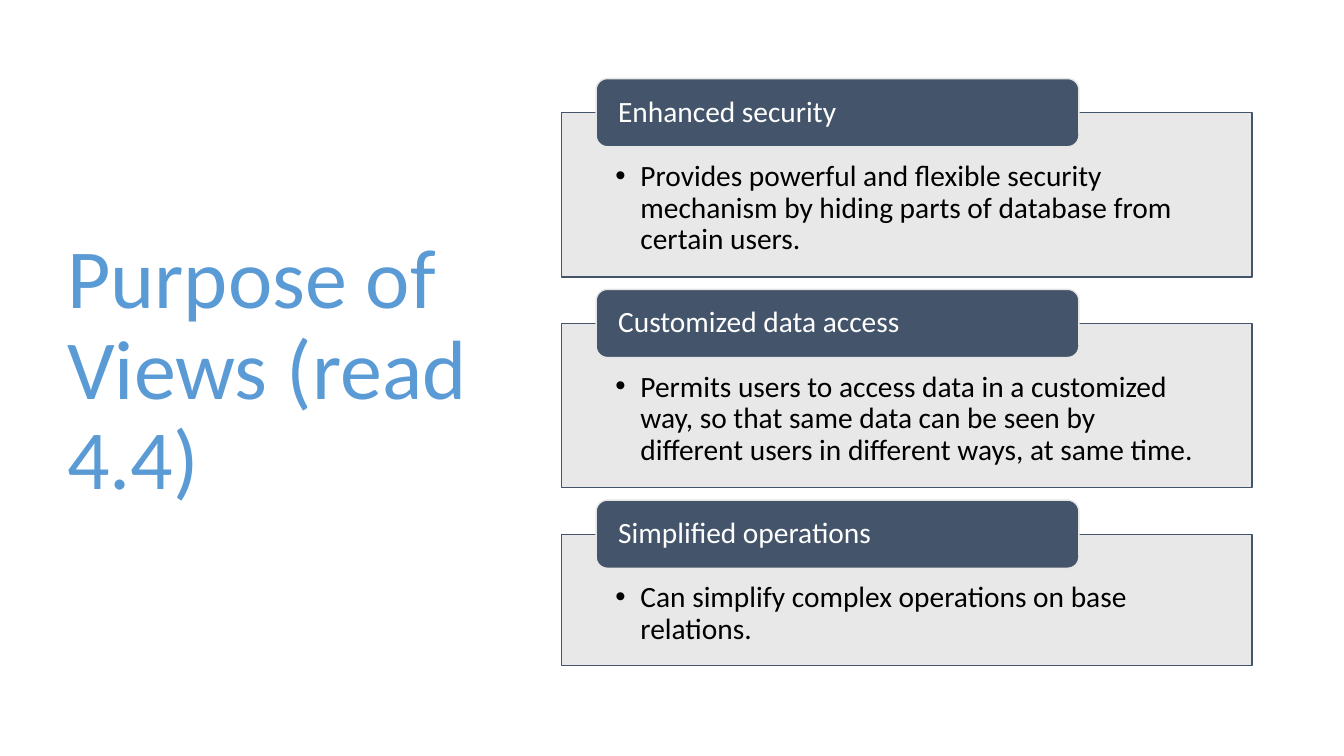
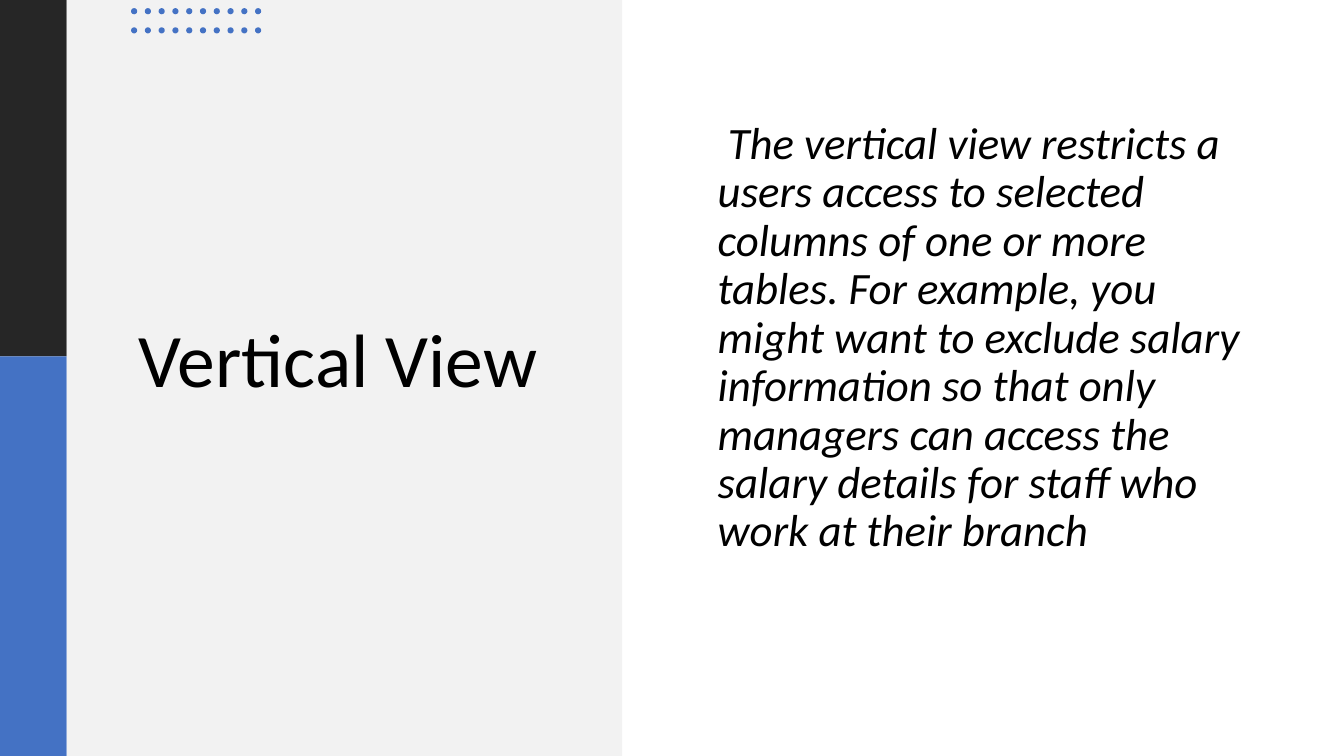
from lxml import etree
from pptx import Presentation
from pptx.dml.color import RGBColor
from pptx.enum.shapes import MSO_SHAPE
from pptx.enum.text import MSO_ANCHOR, PP_ALIGN
from pptx.oxml.ns import qn
from pptx.util import Pt

RECTANGLE = MSO_SHAPE.RECTANGLE
ROUNDED = MSO_SHAPE.ROUNDED_RECTANGLE
OVAL = MSO_SHAPE.OVAL
MIDDLE = MSO_ANCHOR.MIDDLE
TOP = MSO_ANCHOR.TOP
LEFT = PP_ALIGN.LEFT

# Shared style
FONT = "Calibri"
LINE_SPACING = 0.9
DEFAULT_INSETS = (7.2, 3.6, 7.2, 3.6)
BLACK, WHITE = "000000", "FFFFFF"
SLATE, LIGHT_GRAY, PALE_GRAY, CHARCOAL = "44546A", "E7E6E6", "F2F2F2", "262626"
BLUE, SKY = "4472C4", "5B9BD5"

# Stacked cards: header, body text, body height
CARDS = [
    ("Enhanced security",
     "Provides powerful and flexible security mechanism by hiding parts of "
     "database from certain users.", 117.4),
    ("Customized data access",
     "Permits users to access data in a customized way, so that same data can "
     "be seen by different users in different ways, at same time.", 117.4),
    ("Simplified operations",
     "Can simplify complex operations on base relations.", 93.6),
]
CARD_LEFT, CARD_TOP, CARD_WIDTH, CARD_PITCH = 401.2, 80.5, 493.2, 150.55
HEADER_INDENT, HEADER_WIDTH, HEADER_HEIGHT = 24.6, 344.9, 48.7

VERTICAL_VIEW = (
    "\u00a0The vertical view restricts a users access to selected columns of "
    "one or more tables. For example, you might want to exclude salary "
    "information so that only managers can access the salary details for "
    "staff who work at their branch")

# Dot grid
DOT_COLUMNS, DOT_ROWS = 10, 2
DOT_LEFT, DOT_TOP, DOT_SIZE = 93.6, 5.8, 4.4
DOT_COLUMN_PITCH, DOT_ROW_PITCH = 9.84, 13.7


def color(value):
    return RGBColor.from_string(value)


def add_box(shapes, kind, box, fill, line=None):
    shape = shapes.add_shape(kind, *map(Pt, box))
    shape.shadow.inherit = False
    shape.fill.solid()
    shape.fill.fore_color.rgb = color(fill)
    if line:
        shape.line.color.rgb = color(line)
        shape.line.width = Pt(1)
    else:
        shape.line.fill.background()
    return shape


def set_opacity(shape, percent):
    fill_color = shape.fill._xPr.find(qn("a:solidFill"))[0]
    etree.SubElement(fill_color, qn("a:alpha"), val=str(percent * 1000))


def write(shape, text, size, text_color, anchor=MIDDLE, insets=DEFAULT_INSETS,
          italic=False):
    frame = shape.text_frame
    frame.text = text
    frame.word_wrap = True
    frame.vertical_anchor = anchor
    (frame.margin_left, frame.margin_top,
     frame.margin_right, frame.margin_bottom) = map(Pt, insets)
    paragraph = frame.paragraphs[0]
    paragraph.alignment = LEFT
    paragraph.line_spacing = LINE_SPACING
    font = paragraph.runs[0].font
    font.name = FONT
    font.size = Pt(size)
    font.italic = italic
    font.color.rgb = color(text_color)
    return paragraph


def add_text(slide, box, *args, **options):
    return write(slide.shapes.add_textbox(*map(Pt, box)), *args, **options)


def add_bullet(paragraph, indent):
    properties = paragraph._p.get_or_add_pPr()
    properties.set("marL", str(Pt(indent)))
    properties.set("indent", str(-Pt(indent)))
    etree.SubElement(properties, qn("a:buFont"), typeface="Arial")
    etree.SubElement(properties, qn("a:buChar"), char="\u2022")


def add_card(slide, top, header, text, height):
    body = add_box(slide.shapes, RECTANGLE,
                   (CARD_LEFT, top, CARD_WIDTH, height), LIGHT_GRAY, SLATE)
    set_opacity(body, 90)
    paragraph = write(body, text, 21, BLACK, TOP, (38.3, 34.5, 38.3, 11.5))
    add_bullet(paragraph, 18)
    # The header straddles the top edge of the body
    tab = add_box(slide.shapes, ROUNDED,
                  (CARD_LEFT + HEADER_INDENT, top - HEADER_HEIGHT / 2,
                   HEADER_WIDTH, HEADER_HEIGHT), SLATE, LIGHT_GRAY)
    write(tab, header, 21, WHITE, insets=(13.4, 0, 13.4, 0))


def add_dots(slide):
    dots = slide.shapes.add_group_shape().shapes
    for column in range(DOT_COLUMNS):
        for row in range(DOT_ROWS):
            add_box(dots, OVAL,
                    (DOT_LEFT + column * DOT_COLUMN_PITCH,
                     DOT_TOP + row * DOT_ROW_PITCH, DOT_SIZE, DOT_SIZE), BLUE)


def build_purpose(slide):
    add_text(slide, (41, 49, 299.5, 433.4), "Purpose of Views (read 4.4)",
             60, SKY)
    for index, card in enumerate(CARDS):
        add_card(slide, CARD_TOP + index * CARD_PITCH, *card)


def build_vertical_view(slide):
    # Side bands and title panel
    for box, fill in (((0, 0, 47.7, 254.6), CHARCOAL),
                      ((0, 254.6, 47.7, 285.4), BLUE),
                      ((47.7, 0, 396.7, 540), PALE_GRAY)):
        add_box(slide.shapes, RECTANGLE, box, fill)
    add_text(slide, (92, 105, 309, 309), "Vertical View", 54, BLACK)
    add_dots(slide)
    # The deep bottom inset lifts the text above the middle
    paragraph = add_text(slide, (505.6, 39.6, 401.8, 439.2), VERTICAL_VIEW,
                         32, BLACK, insets=(7.2, 3.6, 7.2, 38), italic=True)
    paragraph.space_before = Pt(10)


def main():
    presentation = Presentation()
    presentation.slide_width = Pt(960)
    presentation.slide_height = Pt(540)
    blank_layout = presentation.slide_layouts[6]
    for build in (build_purpose, build_vertical_view):
        build(presentation.slides.add_slide(blank_layout))
    presentation.save("out.pptx")


main()
